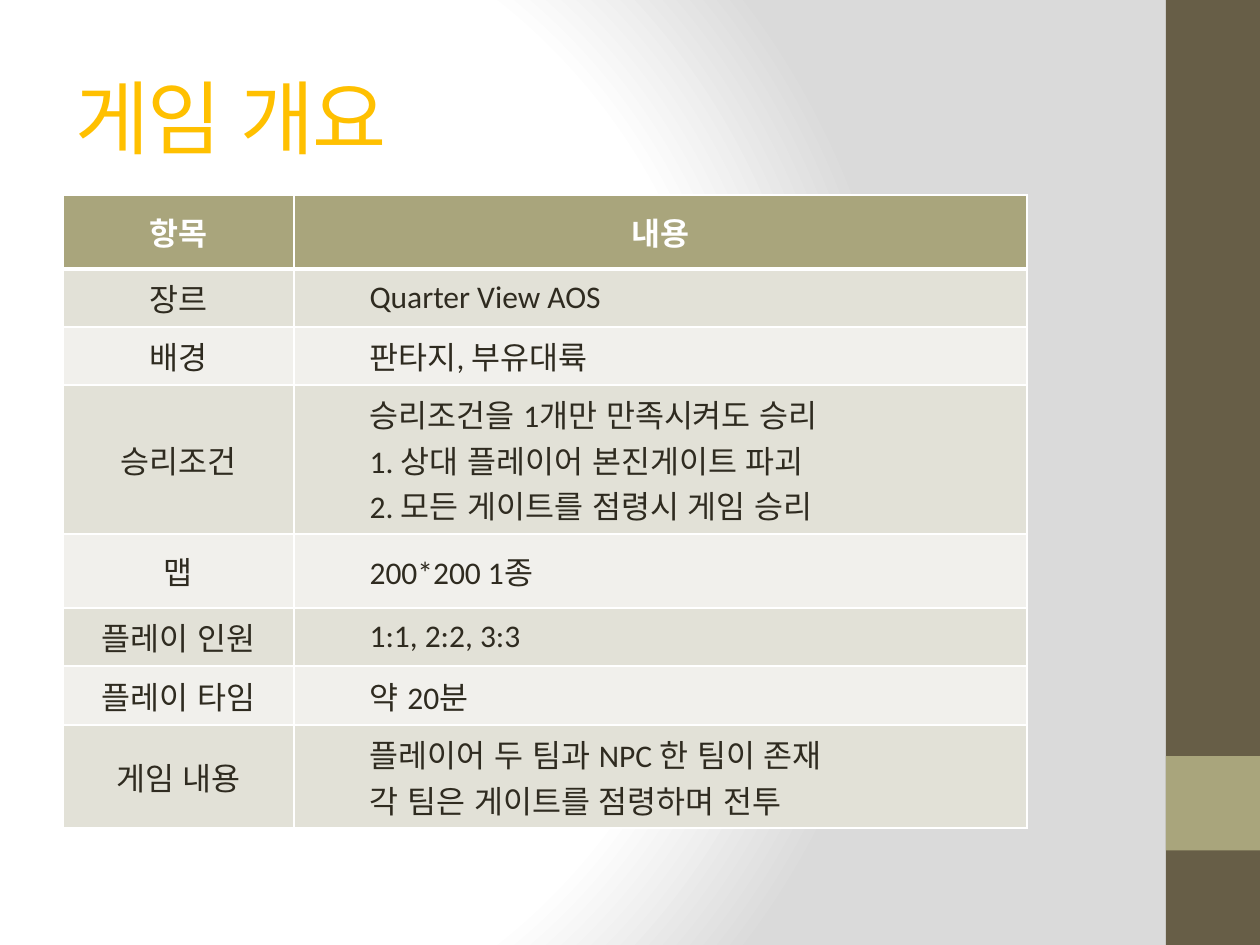
from lxml import etree
from pptx import Presentation, util as u
from pptx.dml.color import RGBColor
from pptx.enum import lang, shapes, text
from pptx.oxml import parse_xml
from pptx.oxml.ns import nsdecls, qn

PIXEL = 914400 / 126
WHITE = RGBColor(0xFF, 0xFF, 0xFF)
BROWN = RGBColor(0x67, 0x5E, 0x47)
OLIVE = RGBColor(0xA9, 0xA5, 0x7C)
GOLD = RGBColor(0xFF, 0xC0, 0x00)
INK = RGBColor(0x2F, 0x2B, 0x20)
BAND_DARK = RGBColor(0xE2, 0xE1, 0xD7)
BAND_LIGHT = RGBColor(0xF1, 0xF0, 0xEC)

# "\n" starts a paragraph, "\v" breaks a line within one
HEADER = ("항목", "내용")
ROWS = [
    ("장르", "Quarter View AOS"),
    ("배경", "판타지, 부유대륙"),
    ("승리조건", "승리조건을 1개만 만족시켜도 승리\v"
             "1. 상대 플레이어 본진게이트 파괴\n"
             "2. 모든 게이트를 점령시 게임 승리"),
    ("맵", "200*200 1종"),
    ("플레이 인원", "1:1, 2:2, 3:3"),
    ("플레이 타임", "약 20분"),
    ("게임 내용", "플레이어 두 팀과 NPC 한 팀이 존재\n"
              "각 팀은 게이트를 점령하며 전투"),
]
COLUMN_WIDTHS = (231, 733)
ROW_HEIGHTS = (74, 58, 58, 149, 74, 58, 59, 103)


def px(length):
    return u.Emu(round(length * PIXEL))


def write(frame, content, size=18, font="Calibri", color=INK, bold=False,
          align=None, level=0, spacing=None):
    frame.word_wrap = True
    for index, line in enumerate(content.split("\n")):
        paragraph = frame.add_paragraph() if index else frame.paragraphs[0]
        paragraph.text = line
        paragraph.alignment = align
        if level:
            paragraph.level = level
            properties = paragraph._p.get_or_add_pPr()
            properties.set("marL", str(u.Inches(0.5) * level))
            properties.set("indent", "0")
        for run in paragraph.runs:
            run.font.size = u.Pt(size)
            run.font.name = font
            run.font.bold = bold
            run.font.color.rgb = color
            run.font.language_id = lang.MSO_LANGUAGE_ID.KOREAN
            if spacing is not None:
                run.font._element.set("spc", str(round(spacing * 100)))


def add_background(slide):
    stops = "".join(
        f'<a:gs pos="{position * 1000}"><a:srgbClr val="{color}"/></a:gs>'
        for position, color in ((0, "FFFFFF"), (75, "FFFFFF"), (100, "DADADA")))
    slide._element.cSld.insert(0, parse_xml(
        f'<p:bg {nsdecls("p", "a")}><p:bgPr><a:gradFill rotWithShape="1">'
        f'<a:gsLst>{stops}</a:gsLst><a:path path="circle">'
        '<a:fillToRect l="20000" t="50000" r="100000" b="50000"/></a:path>'
        '</a:gradFill><a:effectLst/></p:bgPr></p:bg>'))


def add_sidebar(slide, left, top, width, height):
    # Full-height bar with an accent four fifths of the way down
    bars = ((top, height, BROWN), (top + height * 0.8, height * 0.1, OLIVE))
    for bar_top, bar_height, color in bars:
        bar = slide.shapes.add_shape(shapes.MSO_SHAPE.RECTANGLE, px(left),
                                     px(bar_top), px(width), px(bar_height))
        bar.shadow.inherit = False
        bar.fill.solid()
        bar.fill.fore_color.rgb = color
        bar.line.fill.background()


def add_title(slide, left, top, width, height):
    box = slide.shapes.add_textbox(px(left), px(top), px(width), px(height))
    box.text_frame.vertical_anchor = text.MSO_ANCHOR.MIDDLE
    write(box.text_frame, "게임 개요", size=46, font="Cambria", color=GOLD,
          spacing=-1)


def set_borders(cell, **widths):
    properties = cell._tc.get_or_add_tcPr()
    for index, side in enumerate("LRTB"):
        line = etree.Element(qn(f"a:ln{side}"), w=str(u.Pt(widths.get(side, 1))))
        fill = etree.SubElement(line, qn("a:solidFill"))
        etree.SubElement(fill, qn("a:srgbClr"), val=str(WHITE))
        properties.insert(index, line)


def add_overview_table(slide, left, top, width, height):
    frame = slide.shapes.add_table(len(ROWS) + 1, len(HEADER), px(left),
                                   px(top), px(width), px(height))
    table = frame.table
    for column, column_width in zip(table.columns, COLUMN_WIDTHS):
        column.width = px(column_width)
    for row, row_height in zip(table.rows, ROW_HEIGHTS):
        row.height = px(row_height)

    for row_index, entries in enumerate([HEADER] + ROWS):
        is_header = row_index == 0
        band = BAND_DARK if row_index % 2 else BAND_LIGHT
        for column_index, entry in enumerate(entries):
            cell = table.cell(row_index, column_index)
            cell.vertical_anchor = text.MSO_ANCHOR.MIDDLE
            cell.fill.solid()
            cell.fill.fore_color.rgb = OLIVE if is_header else band
            set_borders(cell, B=3 if is_header else 1,
                        T=3 if row_index == 1 else 1)
            centered = is_header or column_index == 0
            write(cell.text_frame, entry, bold=is_header,
                  color=WHITE if is_header else INK,
                  align=text.PP_ALIGN.CENTER if centered else None,
                  level=0 if centered else 1)


def build_overview_slide(presentation):
    slide = presentation.slides.add_slide(presentation.slide_layouts[6])
    add_background(slide)
    add_sidebar(slide, 1166, 0, 94, 945)
    add_title(slide, 63, 38, 1050, 157)
    add_overview_table(slide, 63, 195, sum(COLUMN_WIDTHS), sum(ROW_HEIGHTS))


presentation = Presentation()
presentation.slide_width = px(1260)
presentation.slide_height = px(945)
build_overview_slide(presentation)
presentation.save("out.pptx")
